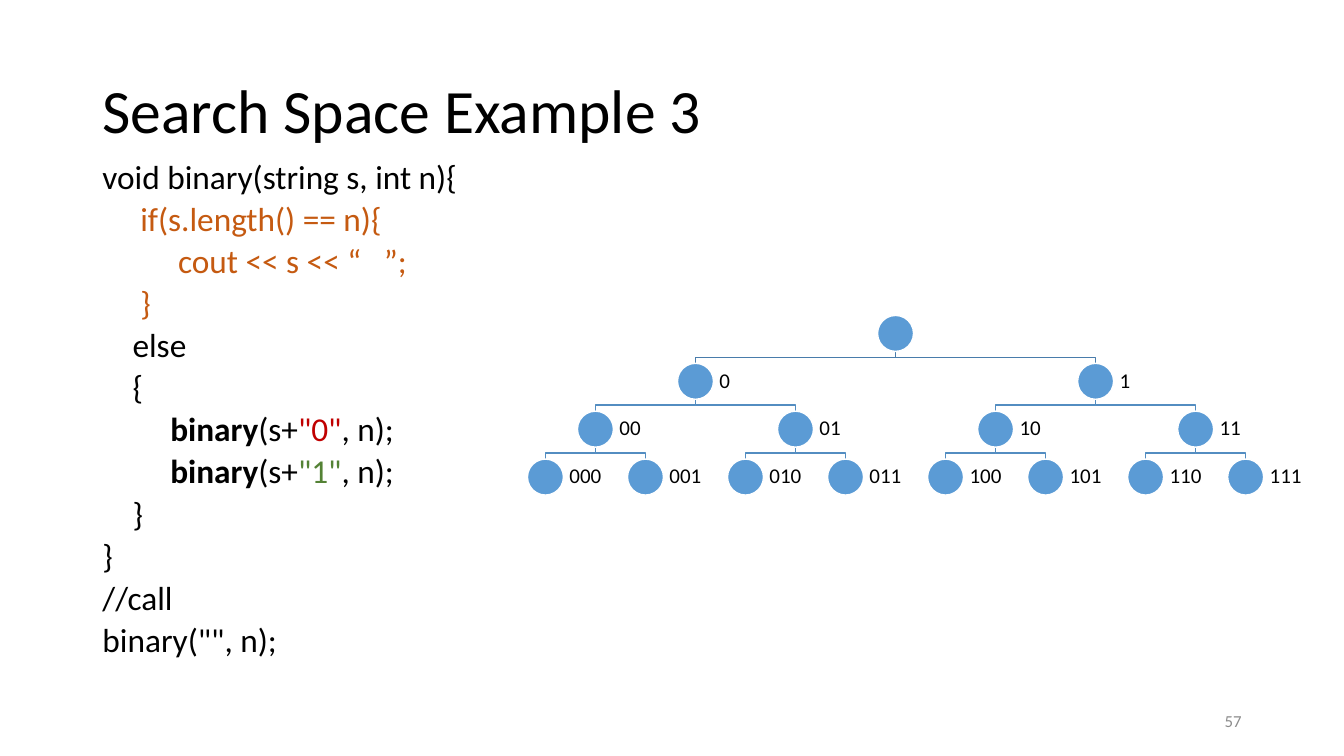
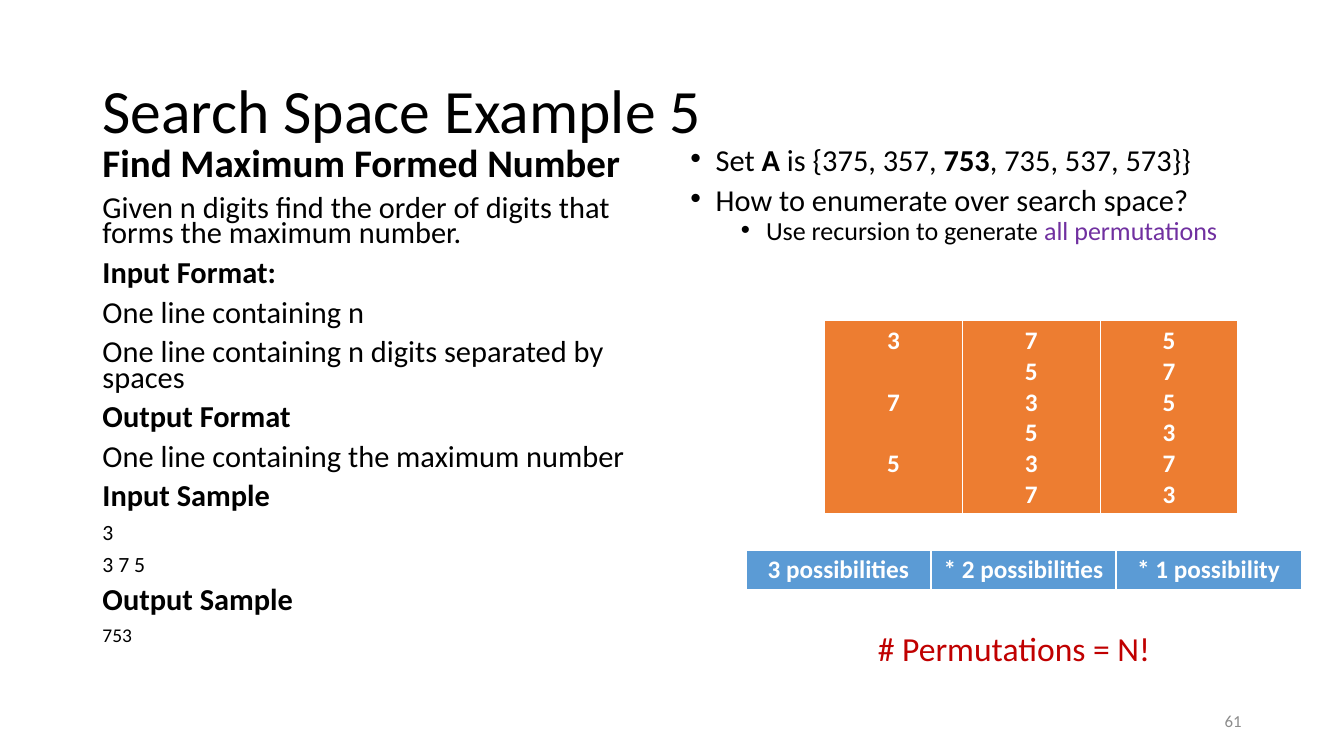
"""Build two slides on search spaces."""
from dataclasses import dataclass

from lxml import etree
from pptx import Presentation
from pptx.dml.color import RGBColor
from pptx.enum import shapes as kinds, text as t
from pptx.oxml.ns import qn
from pptx.util import Pt


@dataclass(frozen=True)
class Theme:
    """Hold the colours, font and type sizes."""
    font: str = "Calibri"
    black: str = "000000"
    white: str = "FFFFFF"
    grey: str = "8C8C8C"
    blue: str = "5B9BD5"
    top: str = "497CAB"
    edge: str = "538DC1"
    orange: str = "ED7D31"
    rust: str = "C55A11"
    red: str = "C00000"
    green: str = "548235"
    purple: str = "7030A0"
    title: float = 44
    head: float = 27.9
    code: float = 23.8
    body: float = 21.7
    sub: float = 18.6
    cell: float = 18
    sample: float = 15.5
    last: float = 13.9
    label: float = 15
    foot: float = 12
    note: float = 24


T = Theme()
LEFT, CENTER, RIGHT = t.PP_ALIGN.LEFT, t.PP_ALIGN.CENTER, t.PP_ALIGN.RIGHT


def rgb(code):
    """Turn a hex code into a colour."""
    return RGBColor.from_string(code)


def say(frame, *bits, size, color=T.black, bold=False, align=LEFT, line=1.0,
        before=0, after=0, indent=0, hang=0, bullet=None, level=0):
    """Add a paragraph of strings or (string, format) pairs."""
    par = frame.add_paragraph() if frame.text else frame.paragraphs[0]
    par.alignment, par.level, par.line_spacing = align, level, line
    par.space_before, par.space_after = Pt(before), Pt(after)
    props = par._p.get_or_add_pPr()
    props.set("marL", str(Pt(indent)))
    props.set("indent", str(Pt(-hang)))
    if bullet:
        etree.SubElement(props, qn("a:buFont")).set("typeface", "Arial")
        etree.SubElement(props, qn("a:buChar")).set("char", bullet)
    else:
        etree.SubElement(props, qn("a:buNone"))
    for bit in bits:
        words, own = (bit, {}) if isinstance(bit, str) else bit
        run = par.add_run()
        run.text = words
        font = run.font
        font.name, font.size = T.font, Pt(size)
        font.bold = own.get("bold", bold)
        font.color.rgb = rgb(own.get("color", color))


def place(item, left, top, width, height):
    """Move a placeholder and return its text frame."""
    item.left, item.top = Pt(left), Pt(top)
    item.width, item.height = Pt(width), Pt(height)
    frame = item.text_frame
    frame.auto_size, frame.word_wrap = t.MSO_AUTO_SIZE.NONE, True
    return frame


def box(slide, left, top, width, height, inset=None, wrap=True):
    """Add a text box and return its text frame."""
    item = slide.shapes.add_textbox(Pt(left), Pt(top), Pt(width), Pt(height))
    frame = item.text_frame
    frame.word_wrap = wrap
    frame.vertical_anchor = t.MSO_ANCHOR.MIDDLE
    if inset is not None:
        frame.margin_left = frame.margin_right = Pt(inset)
        frame.margin_top = frame.margin_bottom = Pt(inset)
    return frame


def start(deck, layout, title, number):
    """Add a slide with its title and number."""
    slide = deck.slides.add_slide(deck.slide_layouts[layout])
    frame = place(slide.shapes.title, 66, 29, 828, 104.4)
    frame.vertical_anchor = t.MSO_ANCHOR.MIDDLE
    say(frame, title, size=T.title, line=0.9)
    say(box(slide, 678, 500.5, 216, 28.8), number,
        size=T.foot, color=T.grey, align=RIGHT)
    return slide


def link(slide, start, end, color):
    """Draw a stepped line from a parent down to a child."""
    (x1, y1), (x2, y2) = start, end
    mid = (y1 + y2) / 2
    pen = slide.shapes.build_freeform(Pt(x1), Pt(y1))
    pen.add_line_segments(
        [(Pt(x1), Pt(mid)), (Pt(x2), Pt(mid)), (Pt(x2), Pt(y2))], close=False)
    item = pen.convert_to_shape()
    item.fill.background()
    item.line.color.rgb, item.line.width = rgb(color), Pt(1)
    item.shadow.inherit = False


def node(slide, x, y, size, label):
    """Draw a tree node with its label to the right."""
    item = slide.shapes.add_shape(
        kinds.MSO_SHAPE.OVAL, Pt(x - size / 2), Pt(y), Pt(size), Pt(size))
    item.fill.solid()
    item.fill.fore_color.rgb = rgb(T.blue)
    item.line.color.rgb, item.line.width = rgb(T.white), Pt(1)
    item.shadow.inherit = False
    if label:
        frame = box(slide, x + size / 2, y, 38.6, size, inset=4.3)
        say(frame, label, size=T.label, line=0.9)


def tree(slide, left, top, depth, step, drop, size):
    """Draw the full binary tree of bit strings."""
    def spot(row, col):
        """Find the top centre of a node."""
        span = 2 ** (depth - row)
        return left + ((col + 0.5) * span - 0.5) * step, top + row * drop

    cells = [(row, col) for row in range(depth + 1) for col in range(2 ** row)]
    for row, col in cells[1:]:
        x, y = spot(row - 1, col // 2)
        link(slide, (x, y + size), spot(row, col),
             T.top if row == 1 else T.edge)
    for row, col in cells:
        node(slide, *spot(row, col), size, f"{col:0{row}b}" if row else "")


def grid(slide, left, top, width, height, cols, color):
    """Add a one-row table from (lines, gap) columns."""
    table = slide.shapes.add_table(
        1, len(cols), Pt(left), Pt(top), Pt(width), Pt(height)).table
    for cell, (lines, gap) in zip(table.rows[0].cells, cols):
        for line in lines:
            say(cell.text_frame, line, size=T.cell, color=T.white,
                bold=True, align=CENTER, after=gap)
        props = cell._tc.get_or_add_tcPr()
        for side, wide in (("L", 1), ("R", 1), ("T", 1), ("B", 3)):
            rim = etree.SubElement(props, qn("a:ln" + side), w=str(Pt(wide)))
            fill = etree.SubElement(rim, qn("a:solidFill"))
            etree.SubElement(fill, qn("a:srgbClr"), val=T.white)
        cell.fill.solid()
        cell.fill.fore_color.rgb = rgb(color)


def binary(deck):
    """Build the slide on bit strings."""
    slide = start(deck, 1, "Search Space Example 3", "57")
    frame = place(slide.placeholders[1], 66, 116, 828, 370)
    strong = {"bold": True}
    code = [
        (0, T.black, ["void binary(string s, int n){"]),
        (27, T.rust, ["if(s.length() == n){"]),
        (54, T.rust, ["cout << s << “   ”;"]),
        (27, T.rust, ["}"]),
        (21.5, T.black, ["else"]),
        (21.5, T.black, ["{"]),
        *[(48.5, T.black, [("binary", strong), "(s+",
                           (f'"{bit}"', {"color": color}), ", n);"])
          for bit, color in ((0, T.red), (1, T.green))],
        (21.5, T.black, ["}"]),
        (0, T.black, ["}"]),
        (0, T.black, ["//call"]),
        (0, T.black, ['binary("", n);']),
    ]
    for indent, color, bits in code:
        say(frame, *bits, size=T.code, color=color, line=0.7, before=10,
            indent=indent)
    tree(slide, left=389.6, top=225.3, depth=3, step=71.45, drop=34.2,
         size=25.7)


def digits(deck):
    """Build the slide on the maximum formed number."""
    slide = start(deck, 3, "Search Space Example 5", "61")
    frame = place(slide.placeholders[1], 66, 104.4, 408, 381.6)
    task = [
        ("Find Maximum Formed Number", T.head, True),
        ("Given n digits find the order of digits that forms the maximum "
         "number.", T.body, False),
        ("Input Format:", T.body, True),
        ("One line containing n", T.body, False),
        ("One line containing n digits separated by spaces", T.body, False),
        ("Output Format", T.body, True),
        ("One line containing the maximum number", T.body, False),
        ("Input Sample", T.body, True),
        ("3", T.sample, False),
        ("3 7 5", T.sample, False),
        ("Output Sample", T.body, True),
        ("753", T.last, False),
    ]
    for words, size, bold in task:
        say(frame, words, size=size, bold=bold, line=0.7, before=10)

    frame = place(slide.placeholders[2], 486, 104.4, 408, 381.6)
    strong = {"bold": True}
    dot = {"line": 0.7, "hang": 18, "bullet": "•"}
    say(frame, "Set ", ("A", strong), " is {375, 357, ", ("753", strong),
        ", 735, 537, 573}}", size=T.body, before=10, indent=18, **dot)
    say(frame, "How to enumerate over search space?",
        size=T.body, before=10, indent=18, **dot)
    say(frame, "Use recursion to generate ",
        ("all permutations", {"color": T.purple}),
        size=T.sub, before=5, indent=54, level=1, **dot)

    grid(slide, 532.8, 392.8, 396.7, 29.2,
         [(["3 possibilities"], 0), (["* 2 possibilities"], 0),
          (["* 1 possibility"], 0)], T.blue)
    grid(slide, 589, 229, 295.2, 139,
         [("375", 22), ("753537", 0), ("575373", 0)], T.orange)
    say(box(slide, 620, 445, 211, 36.4, wrap=False), "# Permutations = N!",
        size=T.note, color=T.red)


def main():
    """Build and save the deck."""
    deck = Presentation()
    deck.slide_width, deck.slide_height = Pt(960), Pt(540)
    binary(deck)
    digits(deck)
    deck.save("out.pptx")


if __name__ == "__main__":
    main()
